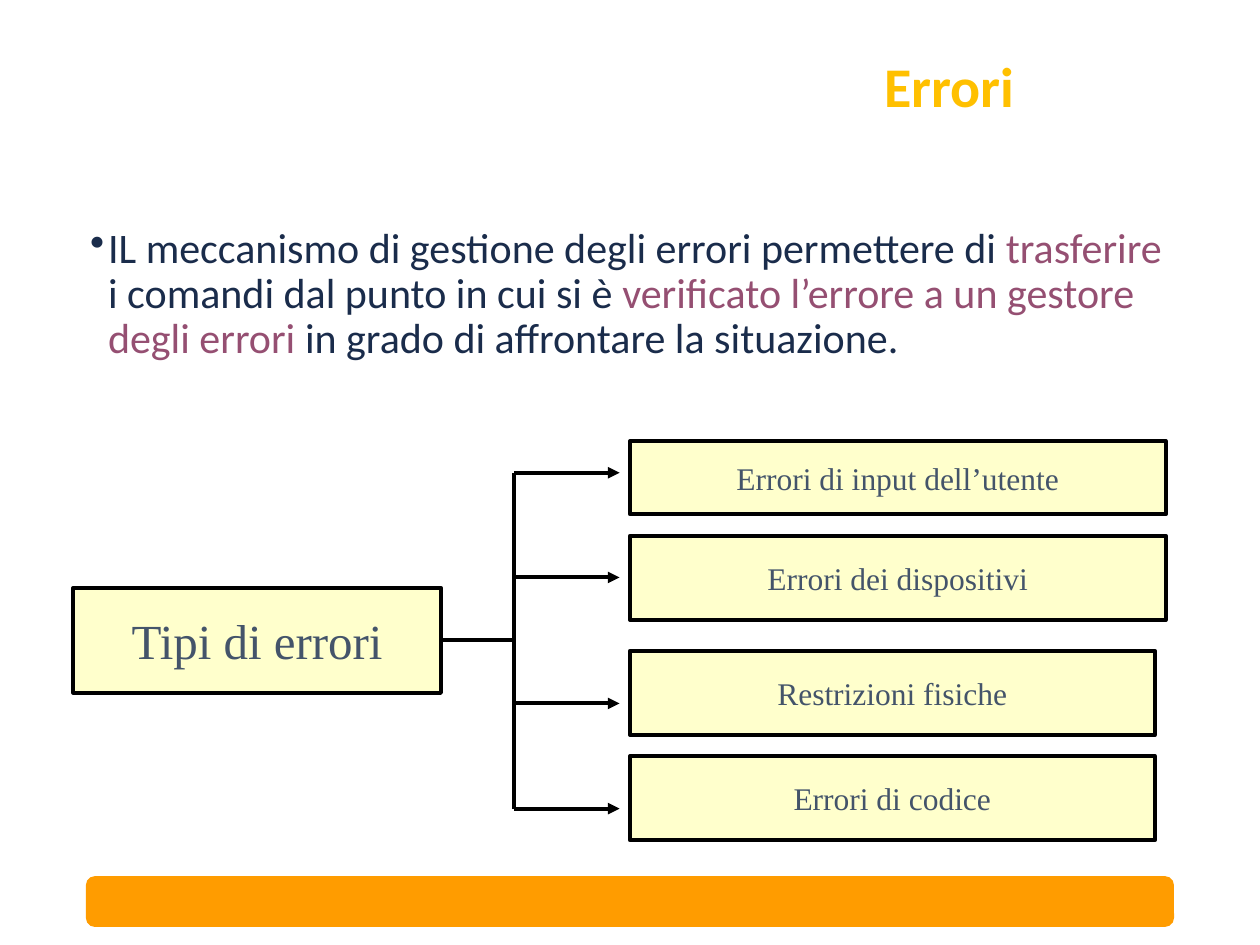
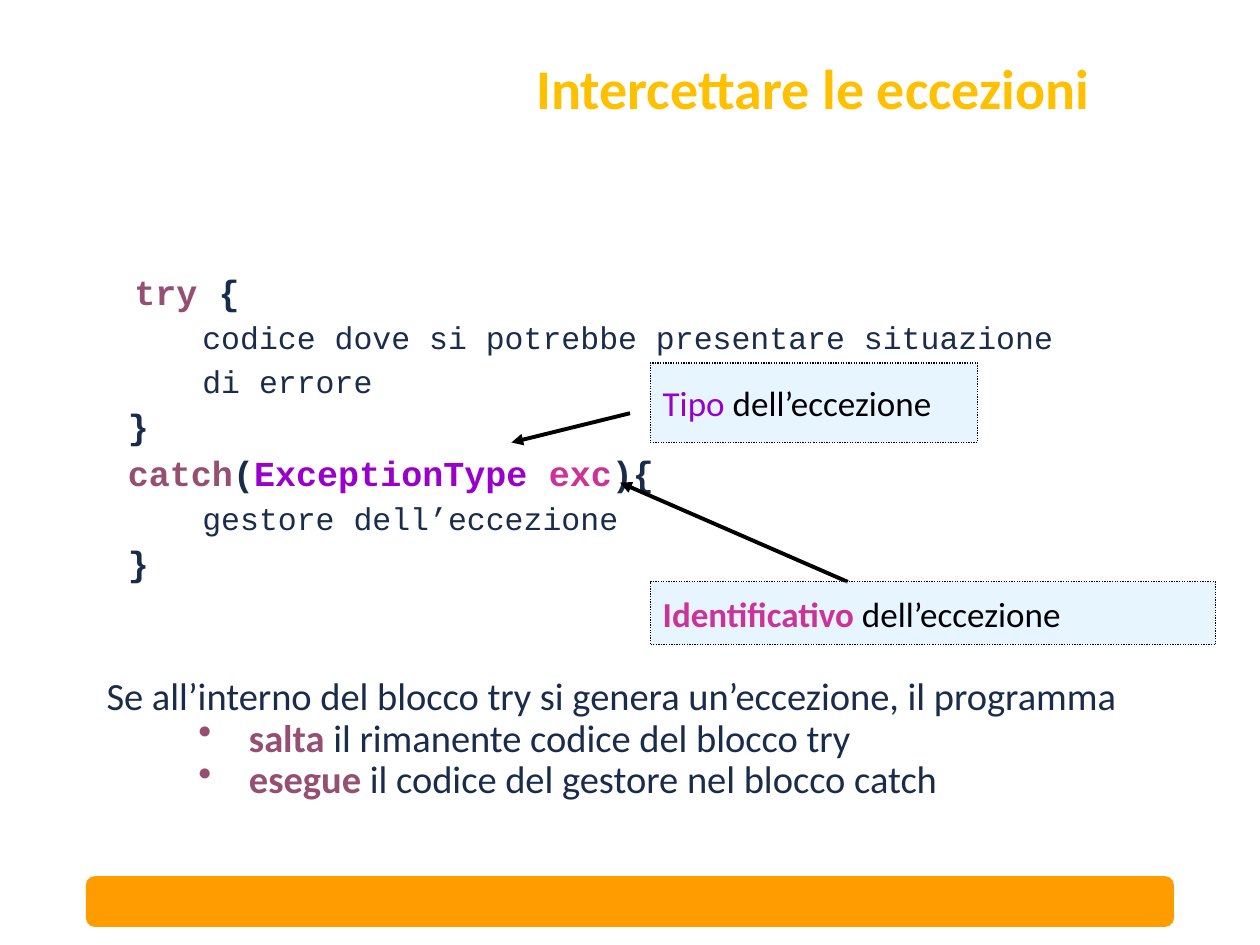
"""Build two slides on error handling and catching exceptions."""
from dataclasses import dataclass

from lxml import etree
from pptx import Presentation
from pptx import util as u
from pptx.dml.color import RGBColor
from pptx.enum import dml, shapes, text
from pptx.oxml import ns

ORANGE = RGBColor(0xFF, 0x9C, 0x00)
GOLD = RGBColor(0xFF, 0xC0, 0x00)
NAVY = RGBColor(0x1A, 0x2C, 0x4B)
PLUM = RGBColor(0x95, 0x4F, 0x72)
SLATE = RGBColor(0x44, 0x54, 0x6A)
CREAM = RGBColor(0xFF, 0xFF, 0xCC)
SKY = RGBColor(0xCC, 0xEC, 0xFF)
VIOLET = RGBColor(0x99, 0x00, 0xCC)
MAGENTA = RGBColor(0xCC, 0x33, 0x99)
BLACK = RGBColor(0x00, 0x00, 0x00)

SANS, SERIF, MONO = "Calibri", "Times New Roman", "Courier New"
LEFT, CENTER = text.PP_ALIGN.LEFT, text.PP_ALIGN.CENTER
LINE_WIDTH = u.Pt(2.25)


@dataclass(frozen=True)
class Area:
    left: float
    top: float
    width: float
    height: float

    def lengths(self) -> tuple:
        return tuple(u.Cm(n) for n in (self.left, self.top, self.width, self.height))


@dataclass(frozen=True)
class Piece:
    words: str
    color: RGBColor = NAVY
    bold: bool = False


@dataclass(frozen=True)
class Line:
    pieces: tuple[Piece, ...]
    size: float
    font: str = SANS
    align: text.PP_ALIGN = LEFT
    spacing: float = 1.0
    before: float = 0
    margin: float = 0
    hanging: float = 0


@dataclass(frozen=True)
class Branch:
    label: str
    area: Area
    arrow_y: float


def write(frame, lines: list[Line], anchor=text.MSO_ANCHOR.TOP) -> None:
    frame.word_wrap = True
    frame.vertical_anchor = anchor
    for index, line in enumerate(lines):
        paragraph = frame.add_paragraph() if index else frame.paragraphs[0]
        paragraph.alignment = line.align
        paragraph.line_spacing = line.spacing
        paragraph.space_before = u.Pt(line.before)
        properties = paragraph._p.get_or_add_pPr()
        properties.set("marL", str(u.Cm(line.margin)))
        properties.set("indent", str(-u.Cm(line.hanging)))
        if line.hanging:
            etree.SubElement(properties, ns.qn("a:buChar"), char="•")
        for piece in line.pieces:
            run = paragraph.add_run()
            run.text = piece.words
            run.font.name = line.font
            run.font.size = u.Pt(line.size)
            run.font.bold = piece.bold
            run.font.color.rgb = piece.color


def add_text(slide, area: Area, lines: list[Line], anchor=text.MSO_ANCHOR.TOP) -> None:
    write(slide.shapes.add_textbox(*area.lengths()).text_frame, lines, anchor)


def add_box(slide, area: Area, fill: RGBColor, border: RGBColor, width: u.Pt,
            kind=shapes.MSO_SHAPE.RECTANGLE):
    shape = slide.shapes.add_shape(kind, *area.lengths())
    shape.shadow.inherit = False
    shape.fill.solid()
    shape.fill.fore_color.rgb = fill
    shape.line.color.rgb = border
    shape.line.width = width
    return shape


def add_node(slide, area: Area, label: str, size: float) -> None:
    shape = add_box(slide, area, CREAM, BLACK, LINE_WIDTH)
    line = Line((Piece(label, SLATE),), size, SERIF, CENTER)
    write(shape.text_frame, [line], text.MSO_ANCHOR.MIDDLE)


def add_callout(slide, area: Area, *pieces: Piece) -> None:
    shape = add_box(slide, area, SKY, BLACK, u.Pt(0.75))
    shape.line.dash_style = dml.MSO_LINE.ROUND_DOT
    color = shape.fill._xPr.find(ns.qn("a:solidFill"))[0]
    etree.SubElement(color, ns.qn("a:alpha"), val="48000")
    write(shape.text_frame, [Line(pieces, 20)], text.MSO_ANCHOR.MIDDLE)


def add_line(slide, x1: float, y1: float, x2: float, y2: float, arrow: bool = False) -> None:
    ends = (u.Cm(n) for n in (x1, y1, x2, y2))
    connector = slide.shapes.add_connector(shapes.MSO_CONNECTOR.STRAIGHT, *ends)
    connector.line.color.rgb = BLACK
    connector.line.width = LINE_WIDTH
    properties = connector._element.spPr
    if arrow:
        outline = properties.find(ns.qn("a:ln"))
        etree.SubElement(outline, ns.qn("a:tailEnd"), type="triangle")
    etree.SubElement(properties, ns.qn("a:effectLst"))


def add_slide(presentation, title: str, title_area: Area):
    slide = presentation.slides.add_slide(presentation.slide_layouts[6])
    add_box(slide, Area(1.75, 17.68, 21.9, 0.99), ORANGE, ORANGE, u.Pt(1),
            shapes.MSO_SHAPE.ROUNDED_RECTANGLE)
    line = Line((Piece(title, GOLD, True),), 32, align=CENTER, spacing=0.9)
    add_text(slide, title_area, [line], text.MSO_ANCHOR.MIDDLE)
    return slide


def code(margin: float, *pieces: Piece, size: float = 20) -> Line:
    return Line(pieces, size, MONO, spacing=0.8, before=7.5, margin=margin)


def build_errors(presentation) -> None:
    slide = add_slide(presentation, "Errori", Area(9.83, 0.74, 18.62, 2.11))
    pieces = (
        Piece("IL meccanismo di gestione degli errori permettere di "),
        Piece("trasferire", PLUM),
        Piece(" i comandi dal punto in cui si è "),
        Piece("verificato l’errore a un gestore degli errori", PLUM),
        Piece(" in grado di affrontare la situazione."),
    )
    add_text(slide, Area(1.57, 4.45, 22.23, 3.18),
             [Line(pieces, 24, spacing=0.9, before=5.5, margin=0.36, hanging=0.36)])

    branches = [
        Branch("Errori di input dell’utente", Area(12.7, 8.89, 10.8, 1.48), 9.53),
        Branch("Errori dei dispositivi", Area(12.7, 10.8, 10.8, 1.7), 11.64),
        Branch("Restrizioni fisiche", Area(12.7, 13.12, 10.58, 1.7), 14.18),
        Branch("Errori di codice", Area(12.7, 15.24, 10.58, 1.7), 16.3),
    ]
    root = Area(1.48, 11.85, 7.41, 2.12)
    root_y = root.top + root.height / 2
    trunk_x, arrow_x = 10.37, 12.49
    add_node(slide, root, "Tipi di errori", 28)
    add_line(slide, root.left + root.width, root_y, trunk_x, root_y)
    add_line(slide, trunk_x, branches[0].arrow_y, trunk_x, branches[-1].arrow_y)
    for branch in branches:
        add_node(slide, branch.area, branch.label, 18)
        add_line(slide, trunk_x, branch.arrow_y, arrow_x, branch.arrow_y, arrow=True)


def build_exceptions(presentation) -> None:
    slide = add_slide(presentation, "Intercettare le eccezioni", Area(6.45, 0.89, 19.89, 1.91))
    outer, inner = 0.43, 1.93
    closing = code(outer, Piece("}", bold=True))
    add_text(slide, Area(1.9, 5.5, 23.06, 7.5), [
        code(0.56, Piece("try", PLUM, True), Piece(" {", bold=True)),
        code(inner, Piece("codice dove si potrebbe presentare situazione"), size=18),
        code(inner, Piece("di errore"), size=18),
        closing,
        code(outer, Piece("catch", PLUM, True), Piece("(", bold=True),
             Piece("ExceptionType ", VIOLET, True), Piece("exc", MAGENTA, True),
             Piece("){", bold=True)),
        code(inner, Piece("gestore dell’eccezione"), size=18),
        closing,
    ])

    steps = [("salta", " il rimanente codice del blocco try"),
             ("esegue", " il codice del gestore nel blocco catch")]
    intro = Piece("Se all’interno del blocco try si genera un’eccezione, il programma")
    add_text(slide, Area(1.9, 13.6, 23.06, 3), [Line((intro,), 22, spacing=0.8)] + [
        Line((Piece(verb, PLUM, True), Piece(rest)), 22,
             spacing=0.8, before=2.7, margin=2.87, hanging=1.02)
        for verb, rest in steps
    ])

    add_callout(slide, Area(13.11, 7.32, 6.6, 1.6),
                Piece("Tipo ", VIOLET), Piece("dell’eccezione", BLACK))
    add_line(slide, 17.09, 11.73, 12.5, 9.73, arrow=True)
    add_line(slide, 12.7, 8.33, 10.31, 8.92, arrow=True)
    add_callout(slide, Area(13.11, 11.73, 11.4, 1.27),
                Piece("Identificativo", MAGENTA, True), Piece(" dell’eccezione", BLACK))


def main() -> None:
    presentation = Presentation()
    presentation.slide_width = u.Cm(25.4)
    presentation.slide_height = u.Cm(19.05)
    build_errors(presentation)
    build_exceptions(presentation)
    presentation.save("out.pptx")


main()
